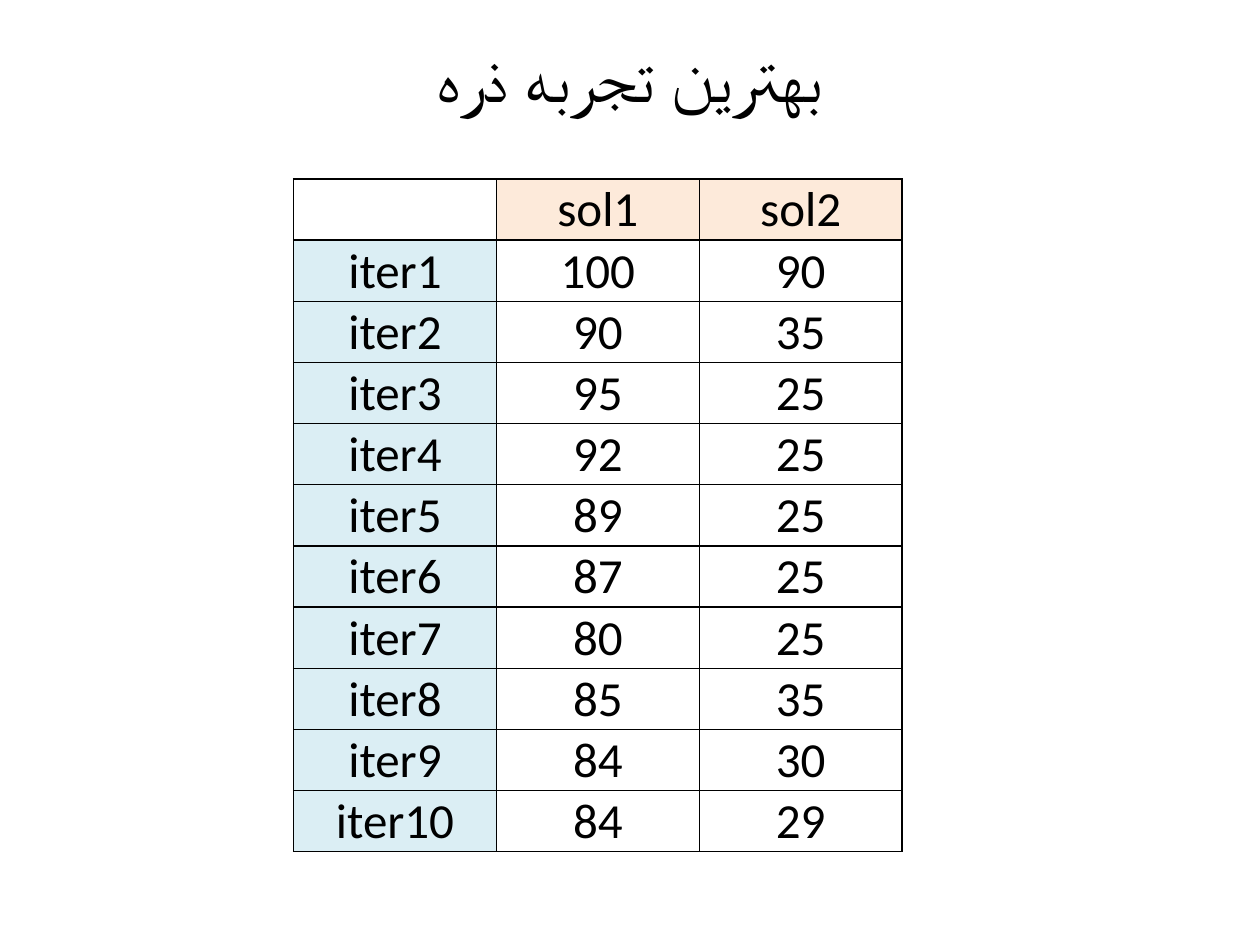
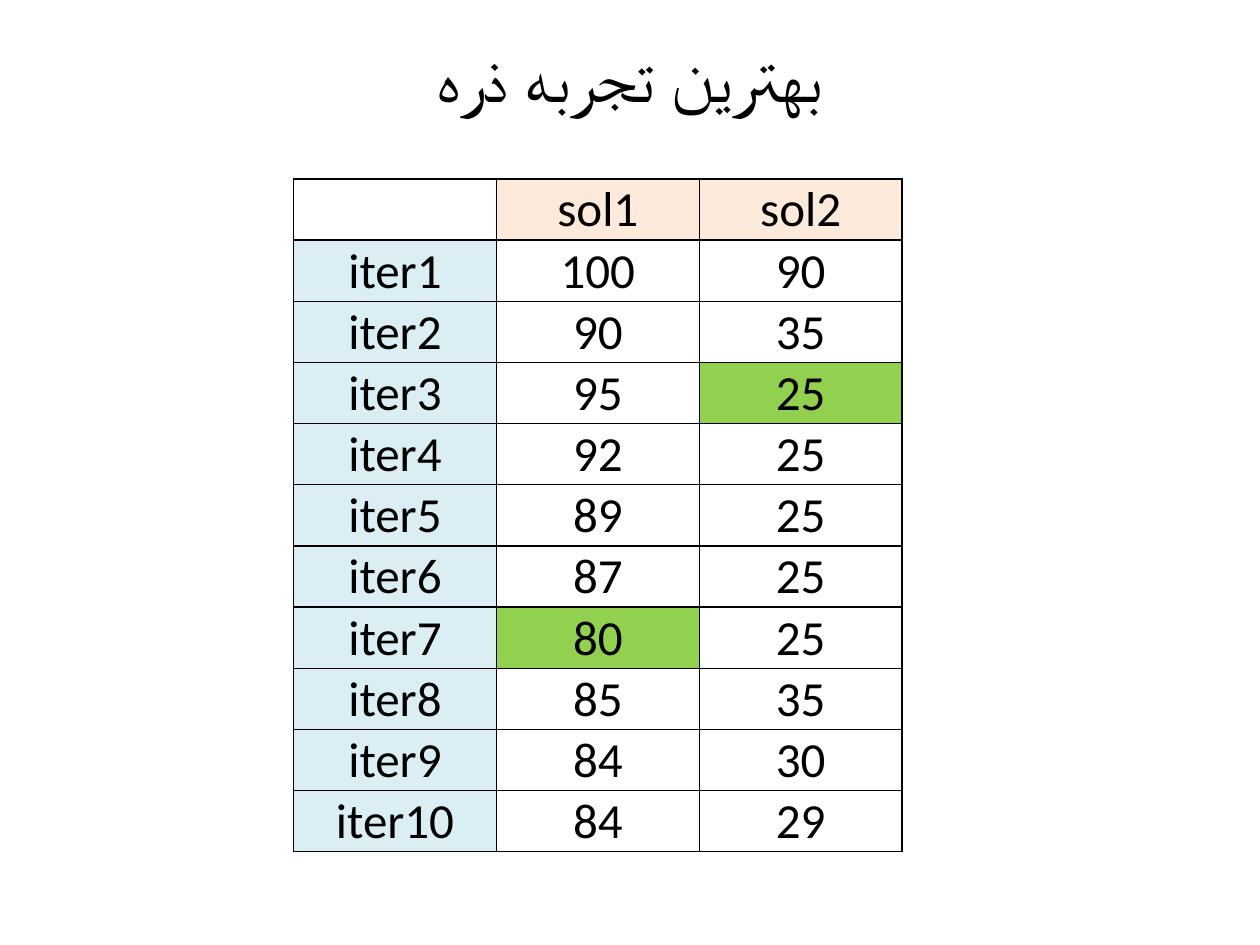
import dataclasses

import pptx
import pptx.dml.color
import pptx.enum.text
import pptx.oxml
import pptx.oxml.ns
import pptx.util

Inches, Pt = pptx.util.Inches, pptx.util.Pt
ALIGN, ANCHOR = pptx.enum.text.PP_ALIGN, pptx.enum.text.MSO_ANCHOR


@dataclasses.dataclass(frozen=True)
class Theme:
    font: str = "Calibri"
    ink: str = "000000"
    head: str = "FDEADA"
    side: str = "DBEEF4"
    best: str = "92D050"
    title: float = 39.6
    body: float = 28
    rule: float = 1


theme = Theme()


def write(para, text, size):
    para.alignment = ALIGN.CENTER
    run = para.add_run()
    run.text = text
    run.font.name = theme.font
    run.font.size = Pt(size)
    run.font.bold = False
    run.font.color.rgb = pptx.dml.color.RGBColor.from_string(theme.ink)


def border(cell):
    props = cell._tc.get_or_add_tcPr()
    # Borders must come before the fill
    for place, side in enumerate(("lnL", "lnR", "lnT", "lnB")):
        props.insert(place, pptx.oxml.parse_xml(
            f'<a:{side} {pptx.oxml.ns.nsdecls("a")} w="{Pt(theme.rule)}">'
            f'<a:solidFill><a:srgbClr val="{theme.ink}"/></a:solidFill>'
            f'</a:{side}>'))


# Results of each iteration
pairs = [(100, 90), (90, 35), (95, 25), (92, 25), (89, 25),
         (87, 25), (80, 25), (85, 35), (84, 30), (84, 29)]
grid = [("", "sol1", "sol2")]
grid += [(f"iter{num}", *pair) for num, pair in enumerate(pairs, 1)]

# Cell of the first lowest value in each column
best = set()
for col in (1, 2):
    vals = [pair[col - 1] for pair in pairs]
    best.add((vals.index(min(vals)) + 1, col))

deck = pptx.Presentation()
deck.slide_width, deck.slide_height = Inches(10), Inches(7.5)
wide, high = deck.slide_width, deck.slide_height

for marks in (set(), best):
    slide = deck.slides.add_slide(deck.slide_layouts[5])

    # Title, raised by one line
    title = slide.shapes.title
    title.left, title.top = int(wide * 0.05), int(high * 0.04)
    title.width, title.height = int(wide * 0.9), Inches(1.25)
    frame = title.text_frame
    frame.auto_size = pptx.enum.text.MSO_AUTO_SIZE.NONE
    frame.vertical_anchor = ANCHOR.MIDDLE
    frame.margin_bottom = Inches(0.72)
    write(frame.paragraphs[0], "بهترین تجربه ذره", theme.title)
    frame.paragraphs[0]._p.get_or_add_pPr().set("rtl", "1")

    # Table
    holder = slide.shapes.add_table(
        len(grid), len(grid[0]), Inches(2.33), Inches(1.42),
        Inches(4.83), Inches(5.25))
    table = holder.table
    table.first_row = table.horz_banding = False
    for line in table.rows:
        line.height = Inches(0.45)
    for row, line in enumerate(grid):
        for col, value in enumerate(line):
            cell = table.cell(row, col)
            cell.vertical_anchor = ANCHOR.BOTTOM
            cell.margin_left = cell.margin_right = Inches(0.01)
            cell.margin_top, cell.margin_bottom = Inches(0.01), 0
            if value != "":
                write(cell.text_frame.paragraphs[0], str(value), theme.body)

            # Fill by role
            if (row, col) in marks:
                tint = theme.best
            elif row == 0 and col > 0:
                tint = theme.head
            elif row > 0 and col == 0:
                tint = theme.side
            else:
                tint = None
            if tint:
                cell.fill.solid()
                cell.fill.fore_color.rgb = pptx.dml.color.RGBColor.from_string(tint)
            else:
                cell.fill.background()
            border(cell)
    holder.height = Inches(5.25)

deck.save("out.pptx")
